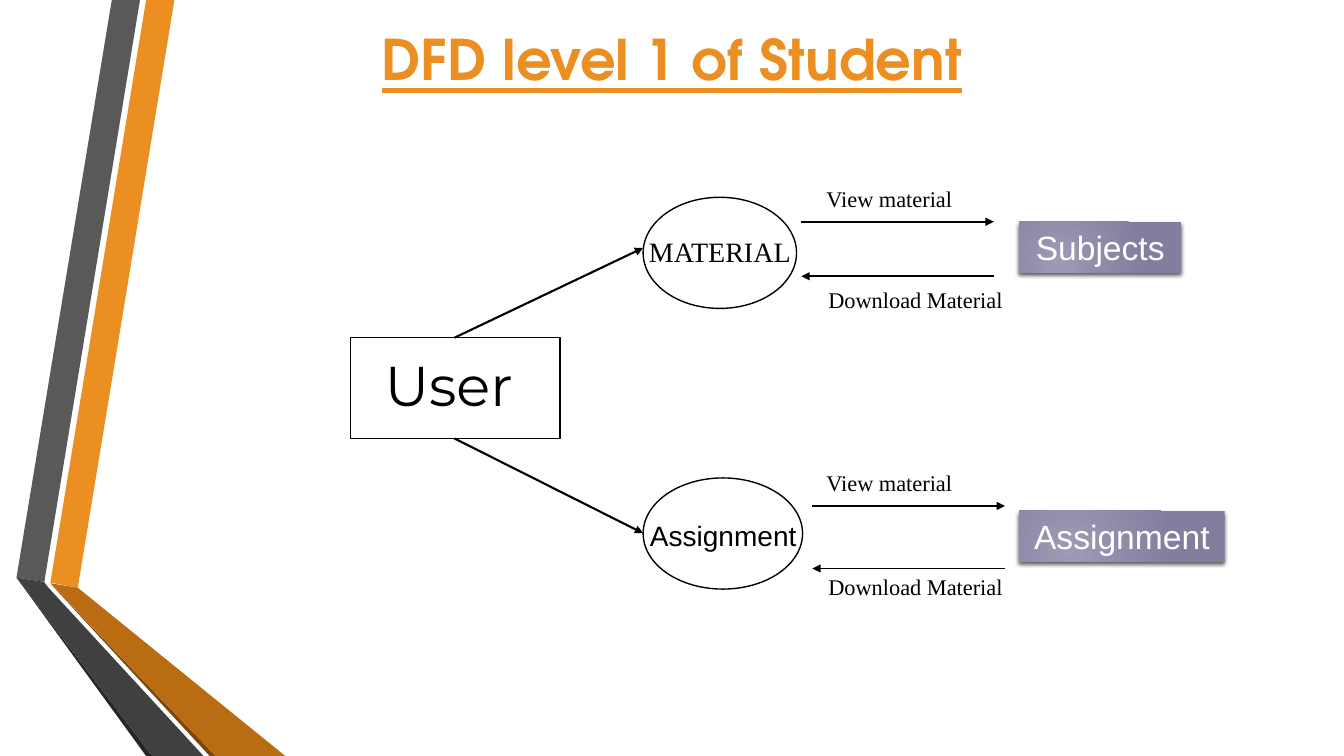
from lxml import etree
from pptx import Presentation
from pptx.dml.color import RGBColor
from pptx.enum.shapes import MSO_CONNECTOR, MSO_SHAPE
from pptx.enum.text import MSO_ANCHOR, PP_ALIGN
from pptx.oxml import parse_xml
from pptx.oxml.ns import nsdecls, qn
from pptx.util import Pt

ORANGE = RGBColor(0xEB, 0x8F, 0x22)
BROWN = RGBColor(0xB9, 0x6C, 0x11)
DARK_BROWN = RGBColor(0x7B, 0x48, 0x0B)
GREY = RGBColor(0x59, 0x59, 0x59)
DARK_GREY = RGBColor(0x40, 0x40, 0x40)
NEAR_BLACK = RGBColor(0x26, 0x26, 0x26)
LILAC = RGBColor(0x9D, 0x9A, 0xB6)
PURPLE = RGBColor(0x81, 0x7E, 0x9E)
BLACK = RGBColor(0, 0, 0)
WHITE = RGBColor(0xFF, 0xFF, 0xFF)
SERIF, SANS = "Times New Roman", "Arial"

prs = Presentation()
prs.slide_width, prs.slide_height = Pt(960), Pt(540)
slide = prs.slides.add_slide(prs.slide_layouts[6])
shapes = slide.shapes


def write(shape, text, size, font, color=BLACK, align=PP_ALIGN.CENTER, after=10):
    """Put one styled paragraph into a shape and return its run font."""
    frame = shape.text_frame
    frame.word_wrap = True
    frame.vertical_anchor = MSO_ANCHOR.TOP
    paragraph = frame.paragraphs[0]
    paragraph.alignment = align
    paragraph.space_after = Pt(after)
    run = paragraph.add_run()
    run.text = text
    run.font.size, run.font.name = Pt(size), font
    run.font.color.rgb = color
    return run.font


def add_arrow(x1, y1, x2, y2, width):
    """Draw a black line with a triangle head at its end."""
    arrow = shapes.add_connector(
        MSO_CONNECTOR.STRAIGHT, Pt(x1), Pt(y1), Pt(x2), Pt(y2))
    arrow.line.color.rgb = BLACK
    arrow.line.width = Pt(width)
    etree.SubElement(arrow.line._get_or_add_ln(), qn("a:tailEnd"), type="triangle")
    etree.SubElement(arrow._element.spPr, qn("a:effectLst"))


# Folded ribbons on the left edge
ribbons = [
    (ORANGE, [(36, 416.2), (55.6, 419.8), (124.6, 0), (104.4, 0)]),
    (GREY, [(100, 0), (79.9, 0), (11.8, 412.6), (31.7, 415.6)]),
    (NEAR_BLACK, [(11.8, 412.6), (104.4, 540), (108.7, 540)]),
    (DARK_BROWN, [(36, 416.9), (149.8, 540), (154.1, 540)]),
    (BROWN, [(36, 416.6), (154.1, 540), (203.8, 540), (55.6, 419.8)]),
    (DARK_GREY, [(145.4, 540), (34.6, 419.8), (31.4, 415.6), (11.8, 412.6),
                 (108.7, 540)]),
]
for color, points in ribbons:
    builder = shapes.build_freeform(Pt(points[0][0]), Pt(points[0][1]))
    builder.add_line_segments([(Pt(x), Pt(y)) for x, y in points[1:]], close=True)
    ribbon = builder.convert_to_shape()
    ribbon.shadow.inherit = False
    ribbon.fill.solid()
    ribbon.fill.fore_color.rgb = color
    ribbon.line.fill.background()

# Title
title = shapes.add_textbox(0, Pt(13.7), Pt(960), Pt(55.4))
title_font = write(title, "DFD level 1 of Student", 40, "TeX Gyre Adventor",
                   ORANGE, after=0)
title_font.bold = title_font.underline = True

# User entity and the two processes
outlines = [
    (MSO_SHAPE.RECTANGLE, 250.4, 241.2, 149.6, 72),
    (MSO_SHAPE.FLOWCHART_CONNECTOR, 459.4, 140.9, 109.6, 79.4),
    (MSO_SHAPE.FLOWCHART_CONNECTOR, 459.4, 341.4, 113.9, 79.4),
]
for kind, *box in outlines:
    outline = shapes.add_shape(kind, *map(Pt, box))
    outline.shadow.inherit = False
    outline.fill.background()
    outline.line.color.rgb = BLACK
    outline.line.width = Pt(1)

user = shapes.add_textbox(Pt(267.8), Pt(247), Pt(121), Pt(55.4))
write(user, "User", 40, "Montserrat", align=PP_ALIGN.LEFT, after=0)
user.text_frame.vertical_anchor = MSO_ANCHOR.MIDDLE

for text, font, center, top in [("MATERIAL", SERIF, 514.2, 164.2),
                                ("Assignment", SANS, 516.6, 366.5)]:
    process = shapes.add_textbox(Pt(center - 67), Pt(top), Pt(134), Pt(31.7))
    write(process, text, 20, font)

add_arrow(324.7, 241.2, 459.4, 177.1, 1.5)
add_arrow(324.7, 313.2, 459.4, 380.9, 1.5)

# Flows between each process and its data store:
# arrow left edge, view arrow y, download arrow y, view label y, download label y
flows = [
    (572.4, 158.4, 197.3, 128.9, 200.9),
    (580.3, 361.4, 406.1, 331.9, 406.1),
]
for left, view_y, download_y, view_top, download_top in flows:
    right = left + 137.5
    add_arrow(left, view_y, right, view_y, 1.25)
    add_arrow(right, download_y, left, download_y, 1.25)
    for text, x, top in [("View material", 583.2, view_top),
                         ("Download Material", 584.6, download_top)]:
        label = shapes.add_textbox(Pt(x), Pt(top), Pt(147.6), Pt(26.6))
        write(label, text, 16, SERIF, align=PP_ALIGN.LEFT)

# Data stores
for text, top, width in [("Subjects", 158.4, 115.9), ("Assignment", 365, 146.9)]:
    store = shapes.add_shape(MSO_SHAPE.RECTANGLE, Pt(727.9), Pt(top), Pt(width), Pt(36.4))
    store.line.fill.background()
    store.fill.gradient()
    for stop, color, position in zip(store.fill.gradient_stops, (LILAC, PURPLE), (0, 1)):
        stop.color.rgb = color
        stop.position = position
    properties = store._element.spPr
    linear = properties.find(".//" + qn("a:lin"))
    linear.getparent().replace(linear, parse_xml(
        f'<a:path {nsdecls("a")} path="circle">'
        '<a:fillToRect l="50000" t="100000" r="100000" b="50000"/></a:path>'))
    properties.append(parse_xml(
        f'<a:effectLst {nsdecls("a")}>'
        '<a:outerShdw blurRad="38100" dist="25400" dir="5400000" rotWithShape="0">'
        '<a:srgbClr val="000000"><a:alpha val="64000"/></a:srgbClr>'
        '</a:outerShdw></a:effectLst>'))
    write(store, text, 24, SANS, WHITE)

prs.save("out.pptx")
